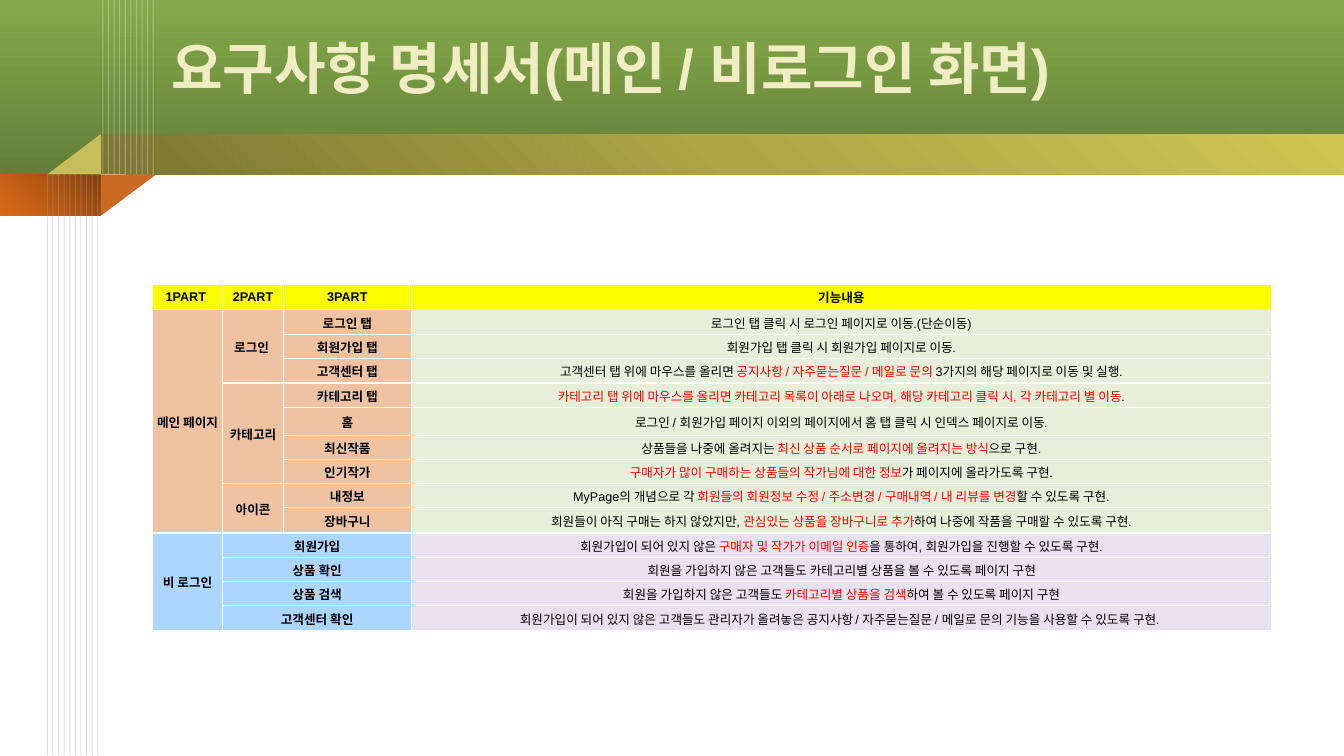
import pptx
import pptx.util
import pptx.oxml
import pptx.dml.color
import pptx.enum.shapes
import pptx.enum.text
from pptx.oxml.ns import qn

Inches = pptx.util.Inches
Pt = pptx.util.Pt
Shape = pptx.enum.shapes.MSO_SHAPE
NS = 'xmlns:a="http://schemas.openxmlformats.org/drawingml/2006/main"'
COLORS = {
    "white": "FFFFFF", "black": "000000", "red": "FF0000", "grey": "A6A6A6",
    "green": "84AA4B", "green dark": "637F38",
    "olive dark": "7A7531", "olive": "AEA645", "olive light": "CEC552",
    "brown": "803E0D", "rust": "B65913", "orange": "D86916",
    "fold orange": "CB6B23", "fold yellow": "C6BE5A",
    "cream": "F0ECC3", "cream light": "F7F5E2", "title edge": "6B6625",
    "header": "FFFF00", "main label": "EFC3A2", "main text": "E7EFDA",
    "guest label": "ADD6FF", "guest text": "E8E2F0",
}
HEADER = ["1PART ", "2PART", "3PART", "기능내용"]
MAIN = [
    ("메인 페이지", "로그인 ", "로그인 탭", "로그인 탭 클릭 시 로그인 페이지로 이동.(단순이동)"),
    ("", "", "회원가입 탭", "회원가입 탭 클릭 시 회원가입 페이지로 이동."),
    ("", "", "고객센터 탭", "고객센터 탭 위에 마우스를 올리면 |공지사항 / 자주묻는질문 / 메일로 문의 |3가지의 해당 페이지로 이동 및 실행."),
    ("", "카테고리", "카테고리 탭", "|카테고리 탭 위에 마우스를 올리면 카테고리 목록이 아래로 나오며, 해당 카테고리 클릭 시, 각 카테고리 별 이동|."),
    ("", "", "홈", "로그인 / 회원가입 페이지 이외의 페이지에서 홈 탭 클릭 시 인덱스 페이지로 이동."),
    ("", "", "최신작품", "상품들을 나중에 올려지는 |최신 상품 순서로 페이지에 올려지는 방식|으로 구현."),
    ("", "", "인기작가", "|구매자가 많이 구매하는 상품들의 작가님에 대한 정보|가 페이지에 올라가도록 구현."),
    ("", "아이콘", "내정보", "MyPage의 개념으로 각 |회원들의 회원정보 수정 / 주소변경 / 구매내역 / 내 리뷰를 변경|할 수 있도록 구현."),
    ("", "", "장바구니", "회원들이 아직 구매는 하지 않았지만, |관심있는 상품을 장바구니로 추가|하여 나중에 작품을 구매할 수 있도록 구현."),
]
GUEST = [
    ("비 로그인", "회원가입", "", "회원가입이 되어 있지 않은 |구매자 및 작가가 이메일 인증|을 통하여, 회원가입을 진행할 수 있도록 구현."),
    ("", "상품 확인", "", "회원을 가입하지 않은 고객들도 카테고리별 상품을 볼 수 있도록 페이지 구현"),
    ("", "상품 검색", "", "회원을 가입하지 않은 고객들도 |카테고리별 상품을 검색|하여 볼 수 있도록 페이지 구현"),
    ("", "고객센터 확인", "", "회원가입이 되어 있지 않은 고객들도 관리자가 올려놓은 공지사항 / 자주묻는질문 / 메일로 문의 기능을 사용할 수 있도록 구현. "),
]
MERGES = [(1, 0, 9, 0), (1, 1, 3, 1), (4, 1, 7, 1), (8, 1, 9, 1), (10, 0, 13, 0)]
MERGES += [(row, 1, row, 2) for row in range(10, 14)]
COLUMNS = [0.7, 0.6, 1.27, 8.53]
ROWS = [0.25, 0.25, 0.24, 0.24, 0.24, 0.28, 0.24, 0.24, 0.24, 0.25, 0.24, 0.24, 0.24, 0.25]


def rgb(name):
    """Return the named colour."""
    return pptx.dml.color.RGBColor.from_string(COLORS[name])


def gradient(names, angle=None):
    """Return a gradient of evenly spaced stops, radial when no angle is given."""
    stops = "".join(
        f'<a:gs pos="{index * 100000 // (len(names) - 1)}"><a:srgbClr val="{COLORS[name]}"/></a:gs>'
        for index, name in enumerate(names))
    course = ('<a:path path="circle"><a:fillToRect l="100000" b="100000"/></a:path>'
              if angle is None else f'<a:lin ang="{angle * 60000}" scaled="0"/>')
    return pptx.oxml.parse_xml(f"<a:gradFill {NS}><a:gsLst>{stops}</a:gsLst>{course}</a:gradFill>")


def add_panel(page, preset, left, top, width, height):
    """Add a preset shape without line or shadow."""
    panel = page.shapes.add_shape(preset, Inches(left), Inches(top), Inches(width), Inches(height))
    panel.shadow.inherit = False
    panel.line.fill.background()
    return panel


def add_band(page, box, names, angle=None):
    """Add a rectangle filled with a gradient."""
    band = add_panel(page, Shape.RECTANGLE, *box)
    band.element.spPr.find(qn("a:prstGeom")).addnext(gradient(names, angle))


def add_fold(page, left, top, width, height, turn, name):
    """Add a turned right triangle that covers the given box."""
    shift = (width - height) / 2
    fold = add_panel(page, Shape.RIGHT_TRIANGLE, left + shift, top - shift, height, width)
    fold.rotation = turn
    fold.fill.solid()
    fold.fill.fore_color.rgb = rgb(name)


def add_stripes(page, left, top, width, height, name, opacity):
    """Add ten evenly spaced translucent vertical lines."""
    for index in range(10):
        x = Inches(left + index * width / 9)
        stripe = page.shapes.add_connector(
            pptx.enum.shapes.MSO_CONNECTOR.STRAIGHT, x, Inches(top), x, Inches(top + height))
        stripe.line.width = Pt(0.75)
        stripe.line.color.rgb = rgb(name)
        tint = stripe.line.fill.fore_color
        tint.rgb = rgb(name)
        spPr = stripe._element.spPr
        for color in spPr.iter(qn("a:srgbClr")):
            color.append(pptx.oxml.parse_xml(f'<a:alpha {NS} val="{opacity * 1000}"/>'))
        spPr.append(pptx.oxml.parse_xml(f"<a:effectLst {NS}/>"))


def add_banner(page, left, top, width, height):
    """Draw the folded ribbon banner and its stripes."""
    bottom = top + height
    add_band(page, (left, top, width, height), ["green", "green dark"], 90)
    add_band(page, (left + 1, bottom - 0.4, width - 1, 0.4), ["olive dark", "olive", "olive light"], 315)
    add_band(page, (left, bottom, 1, 0.41), ["brown", "rust", "orange"])
    add_fold(page, left + 1, bottom, 0.55, 0.41, 90, "fold orange")
    add_fold(page, left + 0.47, bottom - 0.4, 0.53, 0.4, 270, "fold yellow")
    add_stripes(page, left + 1.02, top, 0.5, height, "white", 30)
    add_stripes(page, left + 0.47, bottom, 0.5, 7.49 - bottom, "grey", 35)


def add_title(page, left, top, width, height):
    """Place and format the title."""
    title = page.shapes.title
    title.left, title.top = Inches(left), Inches(top)
    title.width, title.height = Inches(width), Inches(height)
    frame = title.text_frame
    frame.word_wrap = True
    frame.auto_size = pptx.enum.text.MSO_AUTO_SIZE.NONE
    frame.vertical_anchor = pptx.enum.text.MSO_ANCHOR.MIDDLE
    para = frame.paragraphs[0]
    para.alignment = pptx.enum.text.PP_ALIGN.LEFT
    span = para.add_run()
    span.text = "요구사항 명세서(메인 / 비로그인 화면)"
    span.font.name, span.font.size, span.font.bold = "Arial", Pt(40), True
    properties = span._r.get_or_add_rPr()
    properties.insert(0, gradient(["fold yellow", "cream", "cream light"], 270))
    properties.insert(0, pptx.oxml.parse_xml(
        f'<a:ln {NS}><a:solidFill><a:srgbClr val="{COLORS["title edge"]}"/></a:solidFill></a:ln>'))


def fill_cell(cell, text, fill, bold):
    """Format a cell and write its text, with every second part in red."""
    cell.margin_left = cell.margin_top = cell.margin_right = Inches(0.01)
    cell.margin_bottom = 0
    cell.vertical_anchor = pptx.enum.text.MSO_ANCHOR.MIDDLE
    properties = cell._tc.get_or_add_tcPr()
    for side in ("lnL", "lnR", "lnT", "lnB"):
        properties.append(pptx.oxml.parse_xml(
            f'<a:{side} {NS} w="12700"><a:solidFill><a:srgbClr val="{COLORS["white"]}"/>'
            f"</a:solidFill></a:{side}>"))
    cell.fill.solid()
    cell.fill.fore_color.rgb = rgb(fill)
    para = cell.text_frame.paragraphs[0]
    para.alignment = pptx.enum.text.PP_ALIGN.CENTER
    para.font.size = Pt(9)
    for index, part in enumerate(text.split("|")):
        if part:
            span = para.add_run()
            span.text = part
            span.font.name, span.font.size, span.font.bold = "Arial", Pt(9), bold
            span.font.color.rgb = rgb("red" if index % 2 else "black")


def add_requirements(page, left, top, width, height):
    """Build the table of requirements."""
    table = page.shapes.add_table(
        len(ROWS), len(COLUMNS), Inches(left), Inches(top), Inches(width), Inches(height)).table
    for column, size in zip(table.columns, COLUMNS):
        column.width = Inches(size)
    for row, size in zip(table.rows, ROWS):
        row.height = Inches(size)
    lines = [(HEADER, "header", "header")]
    lines += [(line, "main label", "main text") for line in MAIN]
    lines += [(line, "guest label", "guest text") for line in GUEST]
    for row, (texts, label, body) in enumerate(lines):
        for column, text in enumerate(texts):
            last = column == len(COLUMNS) - 1
            fill_cell(table.cell(row, column), text, body if last else label, row == 0 or not last)
    for first_row, first_column, last_row, last_column in MERGES:
        table.cell(first_row, first_column).merge(table.cell(last_row, last_column))


def main():
    """Build and save the deck."""
    deck = pptx.Presentation()
    deck.slide_width, deck.slide_height = Inches(13.33), Inches(7.5)
    page = deck.slides.add_slide(deck.slide_layouts[5])
    add_banner(page, 0, 0, 13.33, 1.73)
    add_title(page, 1.6, 0.04, 11.17, 1.25)
    title = page.shapes.title._element
    title.getparent().append(title)
    add_requirements(page, 1.51, 2.82, sum(COLUMNS), sum(ROWS))
    deck.save("out.pptx")


if __name__ == "__main__":
    main()
